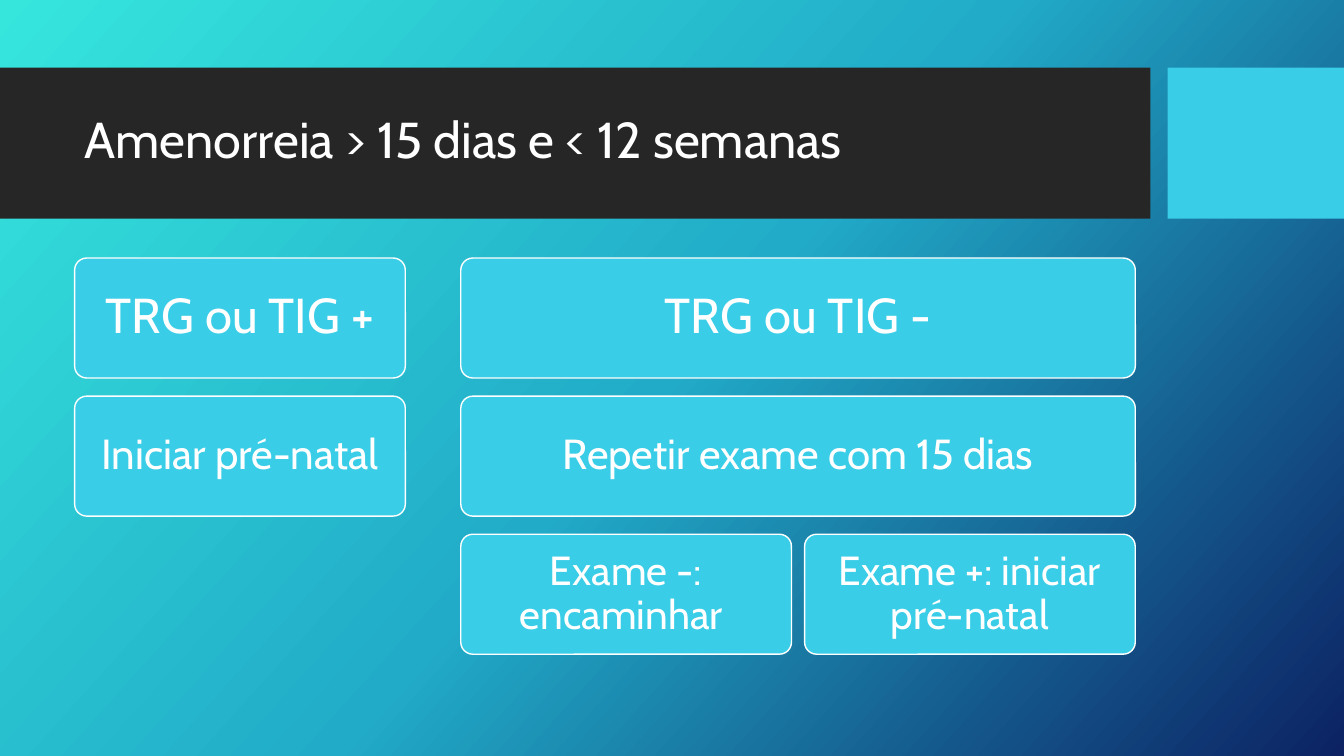
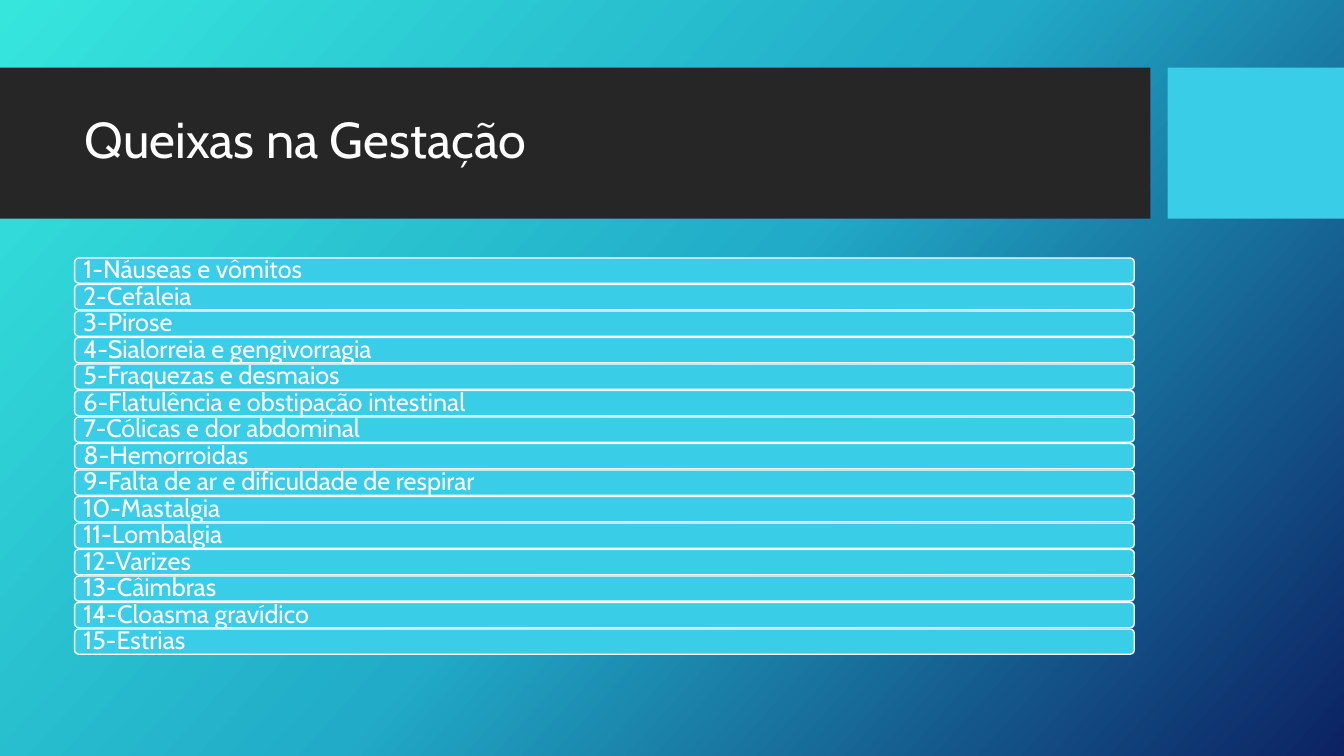
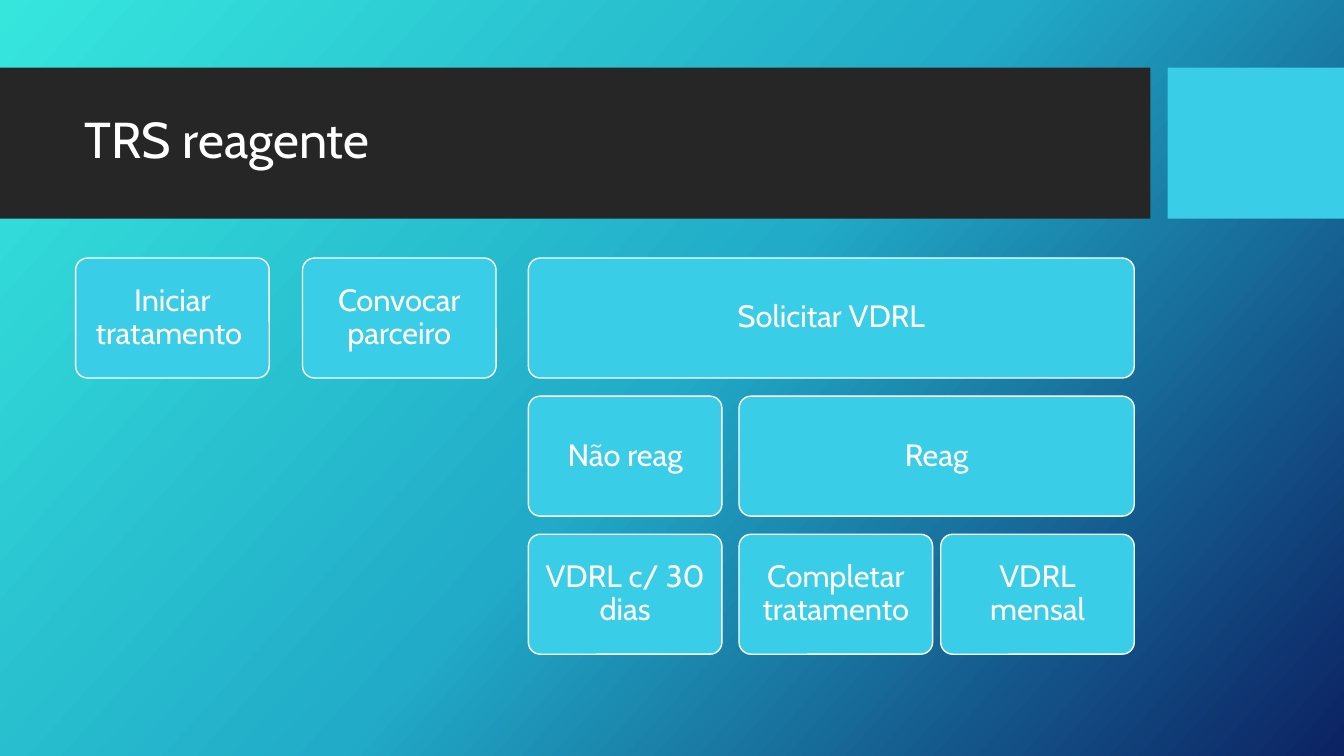
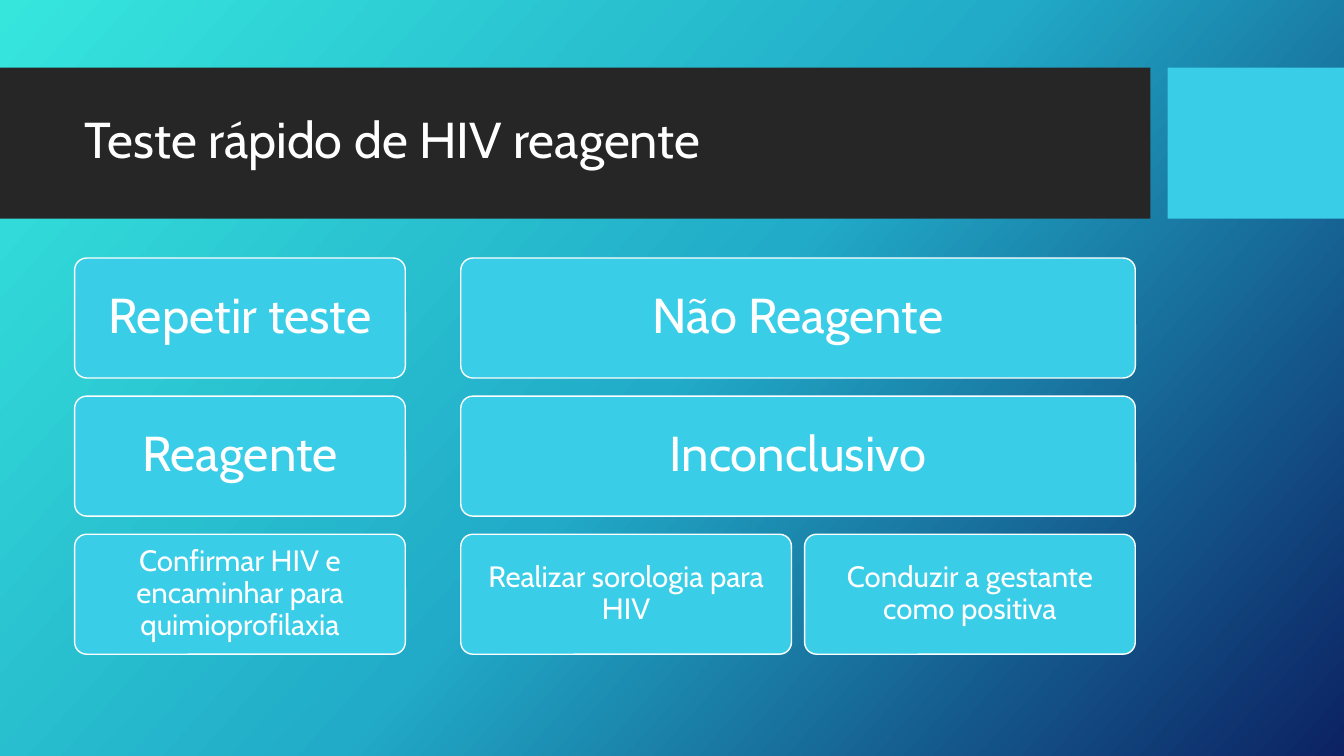
from lxml import etree
from pptx import Presentation
from pptx.dml.color import RGBColor
from pptx.enum.shapes import MSO_SHAPE as Shape
from pptx.enum.text import MSO_ANCHOR as Anchor, MSO_AUTO_SIZE as AutoSize, PP_ALIGN as Align
from pptx.oxml.ns import qn
from pptx.util import Inches, Pt

FONT = "Cabin"
WHITE, DARK, CYAN = "FFFFFF", "262626", "39CDE7"
BACKGROUND_STOPS = ((0, "36E6DD"), (50, "21ABC8"), (100, "0C2263"))
BACKGROUND_ANGLE = 42

LEFT, TOP, WIDTH, BOTTOM = 0.74, 2.56, 10.51, 6.49
BOX_HEIGHT, BOX_PITCH = 1.19, 1.37
ROW_HEIGHT = 0.25

# Left edges of the columns and the width of one column.
THREE_COLUMNS = ((0.74, 4.57, 7.98), 3.28)
FIVE_COLUMNS = ((0.75, 3, 5.24, 7.33, 9.33), 1.92)

# Each box: row, first column, last column, size, text.
AMENORRHEA_BOXES = (
    (0, 0, 0, 35, "TRG ou TIG +"),
    (1, 0, 0, 30, "Iniciar pré-natal"),
    (0, 1, 2, 35, "TRG ou TIG -"),
    (1, 1, 2, 30, "Repetir exame com 15 dias"),
    (2, 1, 1, 29, "Exame -: encaminhar "),
    (2, 2, 2, 29, "Exame +: iniciar pré-natal"),
)
SYPHILIS_BOXES = (
    (0, 0, 0, 22, "Iniciar tratamento "),
    (0, 1, 1, 22, "Convocar parceiro"),
    (0, 2, 4, 22, "Solicitar VDRL"),
    (1, 2, 2, 22, "Não reag"),
    (2, 2, 2, 22, "VDRL c/ 30 dias"),
    (1, 3, 4, 22, "Reag"),
    (2, 3, 3, 22, "Completar tratamento"),
    (2, 4, 4, 22, "VDRL mensal"),
)
HIV_BOXES = (
    (0, 0, 0, 35, "Repetir teste"),
    (1, 0, 0, 35, "Reagente"),
    (2, 0, 0, 21, "Confirmar HIV e encaminhar para quimioprofilaxia"),
    (0, 1, 2, 35, "Não Reagente"),
    (1, 1, 2, 35, "Inconclusivo"),
    (2, 1, 1, 21, "Realizar sorologia para HIV"),
    (2, 2, 2, 21, "Conduzir a gestante como positiva"),
)
COMPLAINTS = (
    "Náuseas e vômitos", "Cefaleia", "Pirose", "Sialorreia e gengivorragia",
    "Fraquezas e desmaios", "Flatulência e obstipação intestinal",
    "Cólicas e dor abdominal", "Hemorroidas",
    "Falta de ar e dificuldade de respirar", "Mastalgia", "Lombalgia",
    "Varizes", "Câimbras", "Cloasma gravídico", "Estrias",
)


def rgb(color):
    return RGBColor.from_string(color)


def set_background(master):
    """Give the master a linear gradient with three stops."""
    fill = master.background.fill
    fill.gradient()
    fill.gradient_angle = 360 - BACKGROUND_ANGLE  # counter-clockwise here
    stops = master.element.find(".//" + qn("p:bg")).find(".//" + qn("a:gsLst"))
    for stop in list(stops):
        stops.remove(stop)
    for position, color in BACKGROUND_STOPS:
        stop = etree.SubElement(stops, qn("a:gs"), pos=str(position * 1000))
        etree.SubElement(stop, qn("a:srgbClr"), val=color)


def add_block(slide, kind, position, color):
    shape = slide.shapes.add_shape(kind, *map(Inches, position))
    shape.shadow.inherit = False
    shape.fill.solid()
    shape.fill.fore_color.rgb = rgb(color)
    shape.line.fill.background()
    return shape


def add_bands_to_layout(slide):
    """Make the title bands and move them behind all else in the slide's layout."""
    tree = slide.slide_layout.shapes.element
    bands = (((0, 0.67, 11.41, 1.5), DARK), ((11.58, 0.67, 1.75, 1.5), CYAN))
    for index, (position, color) in enumerate(bands):
        band = add_block(slide, Shape.RECTANGLE, position, color)
        tree.insert(2 + index, band.element)


def format_text(frame, text, size, align):
    frame.text = text
    frame.word_wrap = True
    frame.auto_size = AutoSize.NONE
    frame.vertical_anchor = Anchor.MIDDLE
    paragraph = frame.paragraphs[0]
    paragraph.alignment = align
    paragraph.line_spacing = 0.9
    font = paragraph.font
    font.name, font.size, font.color.rgb = FONT, Pt(size), rgb(WHITE)


def add_box(slide, position, text, size, align=Align.CENTER):
    shape = add_block(slide, Shape.ROUNDED_RECTANGLE, position, CYAN)
    shape.line.color.rgb = rgb(WHITE)
    shape.line.width = Pt(1)
    frame = shape.text_frame
    inset = Pt(size * 0.3)
    frame.margin_left = frame.margin_top = inset
    frame.margin_right = frame.margin_bottom = inset
    format_text(frame, text, size, align)
    return shape


def add_hierarchy(slide, columns, boxes):
    """Place boxes that may span several columns of a grid."""
    lefts, width = columns
    for row, first, last, size, text in boxes:
        span = lefts[last] + width - lefts[first]
        position = (lefts[first], TOP + row * BOX_PITCH, span, BOX_HEIGHT)
        add_box(slide, position, text, size).adjustments[0] = 0.1


def add_numbered_rows(slide, items):
    """Spread one bar per item evenly over the content area."""
    pitch = (BOTTOM - ROW_HEIGHT - TOP) / (len(items) - 1)
    for index, item in enumerate(items):
        position = (LEFT, TOP + index * pitch, WIDTH, ROW_HEIGHT)
        add_box(slide, position, f"{index + 1}-{item}", 18, Align.LEFT)


def add_titled_slide(presentation, layout, title):
    slide = presentation.slides.add_slide(layout)
    format_text(slide.shapes.title.text_frame, title, 36, Align.LEFT)
    return slide


def main():
    presentation = Presentation()
    presentation.slide_width, presentation.slide_height = Inches(13.33), Inches(7.5)
    set_background(presentation.slide_master)
    layout = presentation.slide_layouts.get_by_name("Title Only")
    title = layout.placeholders[0]
    title.left, title.top = Inches(LEFT), Inches(0.82)
    title.width, title.height = Inches(WIDTH), Inches(1.18)

    slide = add_titled_slide(presentation, layout, "Amenorreia > 15 dias e < 12 semanas")
    add_bands_to_layout(slide)
    add_hierarchy(slide, THREE_COLUMNS, AMENORRHEA_BOXES)

    slide = add_titled_slide(presentation, layout, "Queixas na Gestação")
    add_numbered_rows(slide, COMPLAINTS)

    slide = add_titled_slide(presentation, layout, "TRS reagente")
    add_hierarchy(slide, FIVE_COLUMNS, SYPHILIS_BOXES)

    slide = add_titled_slide(presentation, layout, "Teste rápido de HIV reagente")
    add_hierarchy(slide, THREE_COLUMNS, HIV_BOXES)

    presentation.save("out.pptx")


if __name__ == "__main__":
    main()
